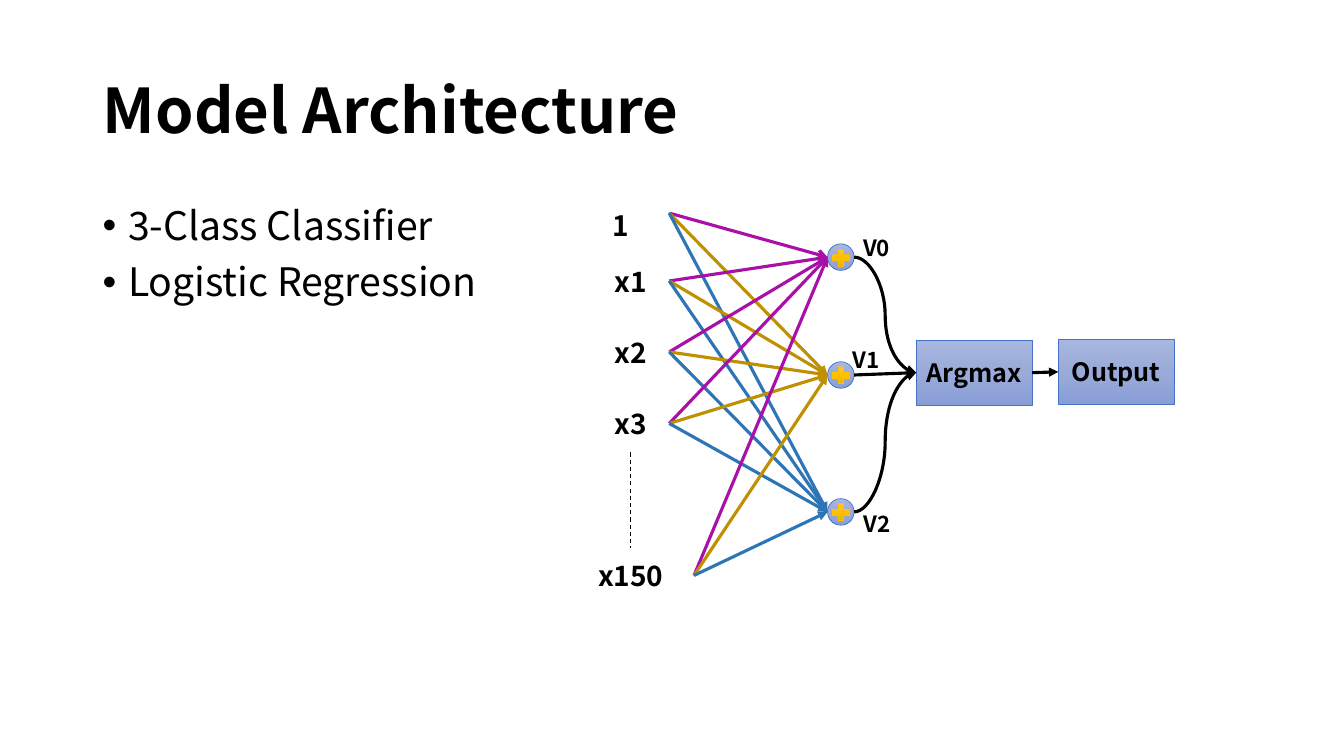
"""Build a slide showing a three-class logistic regression model."""
from copy import deepcopy
from dataclasses import dataclass

from lxml import etree
from pptx import Presentation
from pptx.dml.color import RGBColor
from pptx.enum.dml import MSO_LINE
from pptx.enum.shapes import MSO_CONNECTOR, MSO_SHAPE
from pptx.enum.text import MSO_ANCHOR, MSO_AUTO_SIZE, PP_ALIGN
from pptx.oxml.ns import qn
from pptx.util import Cm, Pt

FONT = "Noto Sans CJK SC"
BLACK = "000000"
BLUE_EDGE, GOLD_EDGE = "4472C4", "FFC000"
BLUE_FILL = ("A8B7DF", "9AABD9", "889ED7")
GOLD_FILL = ("FFC64B", "FFC000", "E3AB00")
OVAL, PLUS, RECT = MSO_SHAPE.OVAL, MSO_SHAPE.MATH_PLUS, MSO_SHAPE.RECTANGLE
STRAIGHT, CURVE = MSO_CONNECTOR.STRAIGHT, MSO_CONNECTOR.CURVE
LEFT, CENTER = PP_ALIGN.LEFT, PP_ALIGN.CENTER
TOP, MIDDLE = MSO_ANCHOR.TOP, MSO_ANCHOR.MIDDLE
NO_FIT, DASH = MSO_AUTO_SIZE.NONE, MSO_LINE.DASH

INPUT_X, NEURON_X, NEURON_D = 15.9, 21.19, 0.67
BOX_W, BOX_H, BOX_Y = 2.92, 1.65, 9.39


@dataclass
class Input:
    """An input feature, placed by its centre height."""
    name: str
    y: float
    width: float = 1.93
    shift_x: float = 0
    shift_y: float = 0


@dataclass
class Neuron:
    """A summing unit with its edge colour and label position."""
    name: str
    y: float
    color: str
    label_x: float
    label_y: float
    curve: int = CURVE


@dataclass
class Box:
    """A processing step, placed by its left side and centre height."""
    name: str
    x: float
    y: float


INPUTS = [
    Input("1", 5.37, shift_x=0.25, shift_y=0.3),
    Input("x1", 7.08),
    Input("x2", 8.87),
    Input("x3", 10.67),
    Input("x150", 14.5, width=3.18),
]
NEURONS = [
    Neuron("V0", 6.48, "A810A8", 21.29, 5.61),
    Neuron("V1", 9.45, "BF9000", 21.03, 8.43, STRAIGHT),
    Neuron("V2", 12.9, "2E75B6", 21.31, 12.55),
]
ARGMAX = Box("Argmax", 23.09, BOX_Y)
OUTPUT = Box("Output", 26.67, BOX_Y - 0.02)


def rgb(color: str) -> RGBColor:
    """Turn a hex string into a colour."""
    return RGBColor.from_string(color)


def set_all(obj, **values) -> None:
    """Set several attributes on one object."""
    for name, value in values.items():
        setattr(obj, name, value)


def write(tf, lines: list, size: float, bold=True, align=CENTER, anchor=MIDDLE, spacing=1.0) -> None:
    """Fill a text frame with one paragraph per line."""
    set_all(tf, word_wrap=True, auto_size=NO_FIT, vertical_anchor=anchor)
    for i, line in enumerate(lines):
        p = tf.add_paragraph() if i else tf.paragraphs[0]
        set_all(p, alignment=align, line_spacing=spacing)
        r = p.add_run()
        r.text = line
        set_all(r.font, name=FONT, size=Pt(size), bold=bold)
        r.font.color.rgb = rgb(color=BLACK)


def add_text(slide, x: float, y: float, w: float, h: float):
    """Add a text box and return its text frame."""
    return slide.shapes.add_textbox(Cm(x), Cm(y), Cm(w), Cm(h)).text_frame


def add_shape(slide, kind, x: float, y: float, w: float, h: float, colors=(), edge=""):
    """Add a shape with a vertical gradient, or an unfilled one."""
    s = slide.shapes.add_shape(kind, Cm(x), Cm(y), Cm(w), Cm(h))
    s.shadow.inherit = False
    if not colors:
        s.fill.background()
        s.line.fill.background()
        return s
    s.fill.gradient()
    s.fill.gradient_angle = 270
    stops = s._element.spPr.find(".//" + qn("a:gsLst"))
    stops.insert(1, deepcopy(stops[0]))
    for i, (stop, color) in enumerate(zip(s.fill.gradient_stops, colors)):
        stop.position = i / 2
        stop.color.rgb = rgb(color)
    s.line.color.rgb = rgb(edge)
    s.line.width = Pt(0.5)
    return s


def add_line(slide, x1: float, y1: float, x2: float, y2: float, color=BLACK,
             width=2.25, kind=STRAIGHT, head="triangle", dash=None) -> None:
    """Add a connector, with an arrowhead if one is named."""
    s = slide.shapes.add_connector(kind, Cm(x1), Cm(y1), Cm(x2), Cm(y2))
    s.line.color.rgb = rgb(color)
    set_all(s.line, width=Pt(width), dash_style=dash)
    if head:
        etree.SubElement(s.line._get_or_add_ln(), qn("a:tailEnd"), type=head)
    etree.SubElement(s._element.spPr, qn("a:effectLst"))


def add_heading(slide) -> None:
    """Place the title and the bullet list."""
    title = slide.shapes.title
    set_all(title, left=Cm(2.34), top=Cm(1.02), width=Cm(29.21), height=Cm(3.68))
    write(title.text_frame, ["Model Architecture"], 44, align=LEFT, spacing=0.9)
    tf = add_text(slide, 2.34, 5.08, 29.21, 12.09)
    write(tf, ["3-Class Classifier", "Logistic Regression"], 28, False, LEFT, TOP, 0.9)
    for p in tf.paragraphs:
        p.space_before = Pt(10)
        pPr = p._p.get_or_add_pPr()
        pPr.set("marL", str(Cm(0.64)))
        pPr.set("indent", str(-Cm(0.64)))
        etree.SubElement(pPr, qn("a:buFont"), typeface="Arial")
        etree.SubElement(pPr, qn("a:buChar"), char="•")


def add_input(slide, item: Input) -> None:
    """Draw an input label."""
    s = add_shape(slide, OVAL, INPUT_X - item.width / 2, item.y - 0.67, item.width, 1.35)
    write(s.text_frame, [item.name], 20)
    set_all(s.text_frame, word_wrap=False, margin_top=Cm(0.13 + 2 * item.shift_y),
            margin_right=Cm(0.25 + 2 * item.shift_x))


def add_neuron(slide, item: Neuron) -> None:
    """Draw a summing unit and its label."""
    add_shape(slide, OVAL, NEURON_X - NEURON_D / 2, item.y - NEURON_D / 2,
              NEURON_D, NEURON_D, BLUE_FILL, BLUE_EDGE)
    add_shape(slide, PLUS, NEURON_X - 0.28, item.y - 0.28, 0.56, 0.58, GOLD_FILL, GOLD_EDGE)
    write(add_text(slide, item.label_x, item.label_y, 1.6, 1.27), [item.name], 16)


def add_box(slide, item: Box) -> None:
    """Draw a processing step."""
    s = add_shape(slide, RECT, item.x, item.y - BOX_H / 2, BOX_W, BOX_H, BLUE_FILL, BLUE_EDGE)
    set_all(s.text_frame, margin_left=0, margin_right=0)
    write(s.text_frame, [item.name], 18)


def main() -> None:
    """Build and save the slide."""
    prs = Presentation()
    set_all(prs, slide_width=Cm(33.87), slide_height=Cm(19.05))
    slide = prs.slides.add_slide(prs.slide_layouts[5])
    add_heading(slide)
    add_line(slide, 15.88, 11.4, 15.88, 13.8, width=0.75, head="", dash=DASH)
    for item in INPUTS:
        add_input(slide, item)
    for neuron in NEURONS:
        add_neuron(slide, neuron)
    for box in (ARGMAX, OUTPUT):
        add_box(slide, box)
    for item in INPUTS:
        for neuron in NEURONS:
            first = item is INPUTS[0] and neuron is NEURONS[0]
            add_line(slide, INPUT_X + item.width / 2, item.y, NEURON_X - NEURON_D / 2, neuron.y,
                     neuron.color, head="arrow" if first else "triangle")
    for neuron in NEURONS:
        add_line(slide, NEURON_X + NEURON_D / 2, neuron.y, ARGMAX.x, ARGMAX.y, kind=neuron.curve)
    add_line(slide, ARGMAX.x + BOX_W, ARGMAX.y, OUTPUT.x, OUTPUT.y)
    prs.save("out.pptx")


if __name__ == "__main__":
    main()
